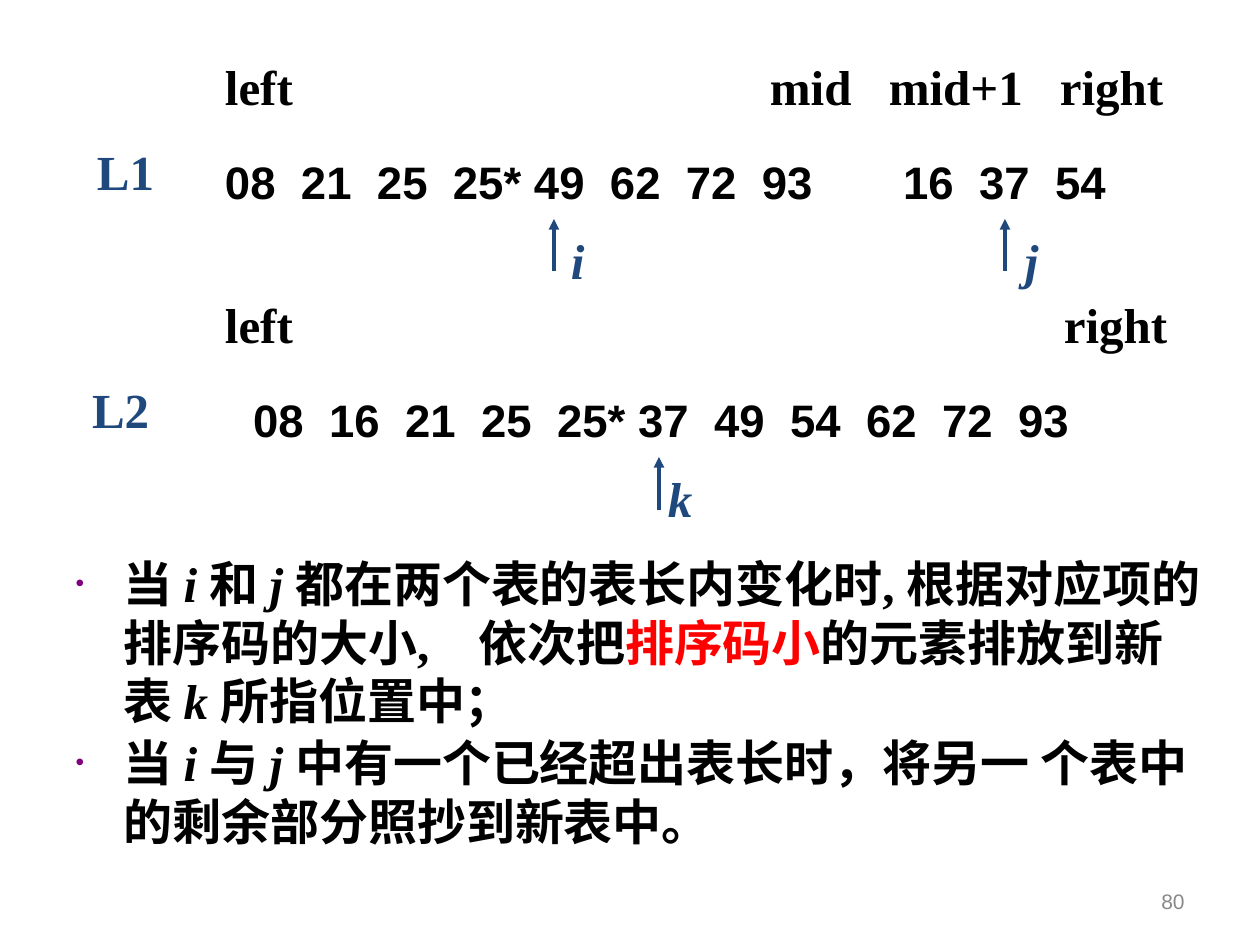
from lxml.etree import SubElement
from pptx import Presentation
from pptx.dml.color import RGBColor
from pptx.enum.shapes import MSO_CONNECTOR, MSO_SHAPE
from pptx.enum.text import MSO_ANCHOR, MSO_AUTO_SIZE, PP_ALIGN
from pptx.oxml.ns import qn
from pptx.util import Emu, Inches, Pt

PX = Inches(1) / 126
SERIF, SANS = "Times New Roman", "Arial"
COLORS = {"ink": "000000", "blue": "1F497D", "red": "FF0000",
          "bullet": "800080", "grey": "898989", "paper": "FFFFFF"}

NUMBER_ROWS = [
    ((212, 145, 631, 73), 225, "08 21 25 25* 49 62 72 93"),
    ((893, 145, 233, 73), 903, "16 37 54"),
    ((212, 383, 915, 73), 253, "08 16 21 25 25* 37 49 54 62 72 93"),
]
NUMBER_PITCH, STAR_EXTRA = 76, 5

LABEL_ROWS = [
    ((213, 50, 970, 72), [(225, "left"), (770, "mid"), (889, "mid+1"), (1060, "right")], "ink", False),
    ((213, 288, 970, 72), [(225, "left"), (1064, "right")], "ink", False),
    ((84, 135, 82, 72), [(97, "L1")], "blue", False),
    ((79, 373, 82, 72), [(92, "L2")], "blue", False),
    ((558, 224, 493, 72), [(571, "i"), (1025, "j")], "blue", True),
    ((655, 462, 49, 72), [(668, "k")], "blue", True),
]

ARROWS = [(554, 271, 219), (1005, 271, 219), (659, 510, 457)]

RULES = [
    [("当 ", ""), ("i ", "var"), ("和 ", ""), ("j ", "var"),
     ("都在两个表的表长内变化时, 根据对应项的排序码的大小,　依次把", ""),
     ("排序码小", "key"), ("的元素排放到新表 ", ""), ("k ", "var"), ("所指位置中；", "")],
    [("当 ", ""), ("i ", "var"), ("与 ", ""), ("j ", "var"),
     ("中有一个已经超出表长时，将另一 个表中的剩余部分照抄到新表中。", "")],
]
RULES_BOX = (63, 547, 1153, 368)
RULES_INDENT = 48
PAGE, PAGE_BOX = "80", (903, 876, 294, 50)


def px(length):
    return Emu(round(length * PX))


def rgb(name):
    return RGBColor.from_string(COLORS[name])


def style(run, size, face, color, bold=True, italic=False):
    font = run.font
    font.size, font.name, font.bold, font.italic = Pt(size), face, bold, italic
    font.color.rgb = rgb(color)


def set_tabbed(shape, left, entries, size, face, color, italic=False):
    """Write words in one line, each starting at its own x."""
    start = entries[0][0]
    frame = shape.text_frame
    frame.word_wrap = True
    frame.margin_left, frame.margin_right = px(start - left), 0
    line = frame.paragraphs[0]
    line.text = "\t".join(word for _, word in entries)
    line.alignment = PP_ALIGN.LEFT
    if len(entries) > 1:
        stops = SubElement(line._p.get_or_add_pPr(), qn("a:tabLst"))
        for x, _ in entries[1:]:
            SubElement(stops, qn("a:tab"), pos=str(px(x - start)), algn="l")
    for run in line.runs:
        style(run, size, face, color, italic=italic)


def add_numbers(slide, box, start, numbers):
    row = slide.shapes.add_shape(MSO_SHAPE.RECTANGLE, *map(px, box))
    row.shadow.inherit = False
    row.fill.solid()
    row.fill.fore_color.rgb = rgb("paper")
    row.line.fill.background()
    row.text_frame.vertical_anchor = MSO_ANCHOR.MIDDLE
    entries, x = [], start
    for number in numbers.split():
        entries.append((x, number))
        x += NUMBER_PITCH + STAR_EXTRA * number.endswith("*")
    set_tabbed(row, box[0], entries, 26, SANS, "ink")


def add_arrow(slide, x, tail_y, tip_y):
    arrow = slide.shapes.add_connector(
        MSO_CONNECTOR.STRAIGHT, px(x), px(tail_y), px(x), px(tip_y))
    arrow.line.color.rgb = rgb("blue")
    arrow.line.width = Pt(2)
    SubElement(arrow.line._get_or_add_ln(), qn("a:tailEnd"), type="triangle")
    SubElement(arrow._element.spPr, qn("a:effectLst"))


def fill_rules(body):
    body.left, body.top, body.width, body.height = map(px, RULES_BOX)
    frame = body.text_frame
    frame.auto_size = MSO_AUTO_SIZE.NONE
    for index, rule in enumerate(RULES):
        line = frame.add_paragraph() if index else frame.paragraphs[0]
        line.space_before = Pt(1.8)
        props = line._p.get_or_add_pPr()
        props.set("marL", str(px(RULES_INDENT)))
        props.set("indent", str(-px(RULES_INDENT)))
        SubElement(SubElement(props, qn("a:buClr")), qn("a:srgbClr"), val=COLORS["bullet"])
        SubElement(props, qn("a:buSzPct"), val="50000")
        SubElement(props, qn("a:buChar"), char="•")
        for words, role in rule:
            run = line.add_run()
            run.text = words
            style(run, 28, SERIF, "red" if role == "key" else "ink", italic=role == "var")


def main():
    deck = Presentation()
    deck.slide_width, deck.slide_height = Inches(10), Inches(7.5)
    slide = deck.slides.add_slide(deck.slide_layouts[1])
    title = slide.shapes.title._element
    title.getparent().remove(title)
    fill_rules(slide.placeholders[1])

    page = slide.shapes.add_textbox(*map(px, PAGE_BOX)).text_frame
    page.text = PAGE
    page.word_wrap = True
    page.vertical_anchor = MSO_ANCHOR.MIDDLE
    page.paragraphs[0].alignment = PP_ALIGN.RIGHT
    style(page.paragraphs[0].runs[0], 12, SANS, "grey", bold=False)

    for row in NUMBER_ROWS:
        add_numbers(slide, *row)
    for box, entries, color, italic in LABEL_ROWS:
        label = slide.shapes.add_textbox(*map(px, box))
        set_tabbed(label, box[0], entries, 28, SERIF, color, italic)
    for arrow in ARROWS:
        add_arrow(slide, *arrow)
    deck.save("out.pptx")


if __name__ == "__main__":
    main()
